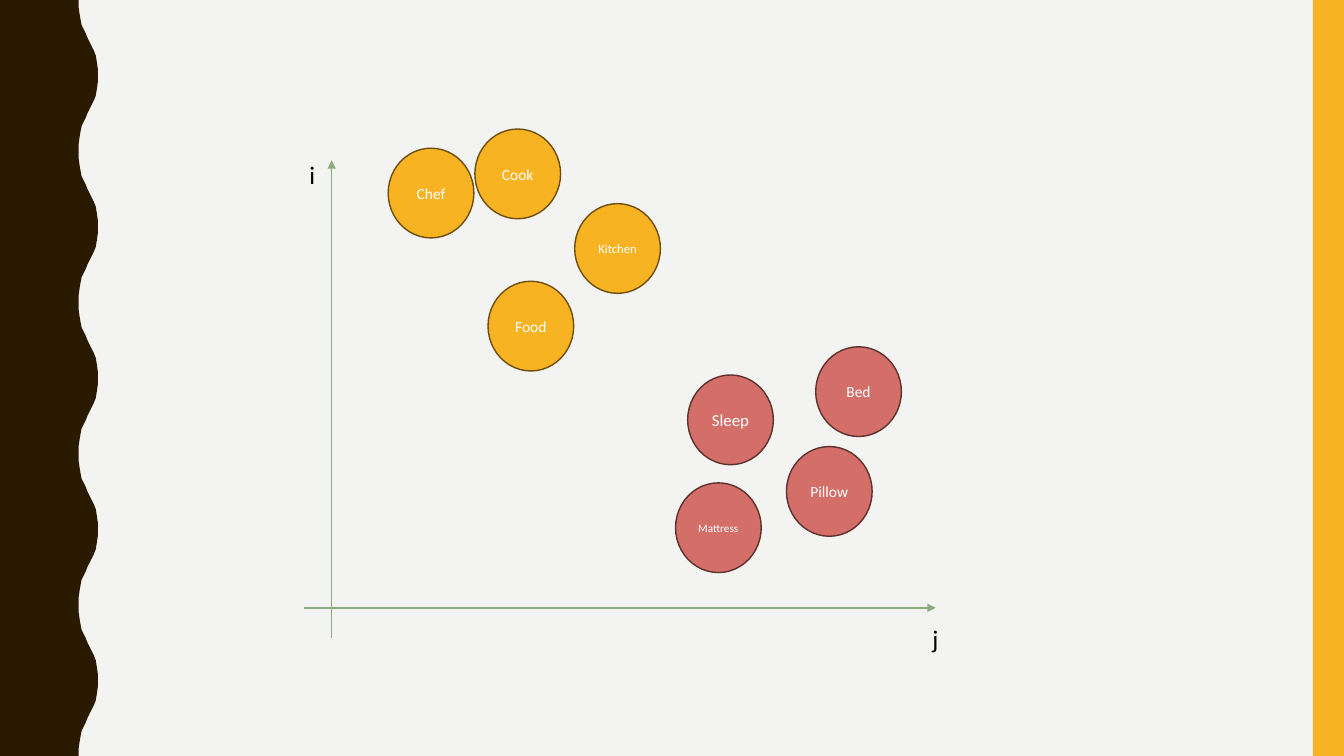
from dataclasses import dataclass

from lxml.etree import SubElement
from pptx import Presentation
from pptx.dml.color import RGBColor
from pptx.enum.shapes import MSO_CONNECTOR, MSO_SHAPE
from pptx.enum.text import MSO_ANCHOR, MSO_AUTO_SIZE, PP_ALIGN
from pptx.oxml.ns import qn
from pptx.util import Inches, Pt


@dataclass(frozen=True)
class Theme:
    font: str = "Calibri"
    background: str = "F3F3F2"
    wave: str = "2A1A00"
    kitchen: tuple = ("F8B323", "6D4E0F")
    bedroom: tuple = ("D36F68", "5C312E")
    stripe: str = "F8B323"
    axis: str = "8CAA7E"
    axis_text: str = "000000"
    word_text: str = "FFFFFF"
    axis_size: int = 18
    line_width: int = 1


THEME = Theme()
SLIDE_WIDTH, SLIDE_HEIGHT = 13.33, 7.5
STRIPE_WIDTH = 0.31
BUBBLE_SIZE = (0.85, 0.89)
LABEL_SIZE = (0.26, 0.4)

WAVE_PERIOD = 1.5
WAVE_RISE = [
    (0.78, 0), (0.78, 0.07), (0.79, 0.14), (0.8, 0.2), (0.81, 0.25),
    (0.83, 0.29), (0.85, 0.33), (0.87, 0.38), (0.89, 0.42), (0.91, 0.46),
    (0.93, 0.5), (0.95, 0.55), (0.96, 0.61), (0.97, 0.68), (0.97, 0.75),
]

AXES = [
    ((3.29, 6.33), (3.29, 1.59)),
    ((3.02, 6.03), (9.28, 6.03)),
]
AXIS_LABELS = [("i", 2.97, 1.53), ("j", 9.15, 6.13)]

CLUSTERS = [
    (THEME.kitchen, [
        ("Chef", 3.85, 1.47, 11),
        ("Cook", 4.71, 1.28, 11),
        ("Kitchen", 5.7, 2.02, 9),
        ("Food", 4.84, 2.79, 11),
    ]),
    (THEME.bedroom, [
        ("Bed", 8.09, 3.44, 11),
        ("Pillow", 7.8, 4.43, 11),
        ("Mattress", 6.7, 4.79, 8),
        ("Sleep", 6.82, 3.72, 12),
    ]),
]


def paint(shape, fill, line=None):
    shape.shadow.inherit = False
    shape.fill.solid()
    shape.fill.fore_color.rgb = RGBColor.from_string(fill)
    if line:
        shape.line.color.rgb = RGBColor.from_string(line)
        shape.line.width = Pt(THEME.line_width)
    else:
        shape.line.fill.background()


def write(shape, text, size, color, align):
    frame = shape.text_frame
    frame.text = text
    para = frame.paragraphs[0]
    para.alignment = align
    span = para.runs[0]
    span.font.name = THEME.font
    span.font.size = Pt(size)
    span.font.color.rgb = RGBColor.from_string(color)


def add_wave(page):
    fall = [(x, WAVE_PERIOD - y) for x, y in reversed(WAVE_RISE[1:-1])]
    periods = round(SLIDE_HEIGHT / WAVE_PERIOD)
    edge = [
        (x, y + number * WAVE_PERIOD)
        for number in range(periods)
        for x, y in WAVE_RISE + fall
    ]
    edge += [(WAVE_RISE[0][0], SLIDE_HEIGHT), (0, SLIDE_HEIGHT)]
    builder = page.shapes.build_freeform(0, 0)
    builder.add_line_segments([(Inches(x), Inches(y)) for x, y in edge], close=True)
    paint(builder.convert_to_shape(), THEME.wave)


def add_stripe(page):
    stripe = page.shapes.add_shape(
        MSO_SHAPE.RECTANGLE, Inches(SLIDE_WIDTH - STRIPE_WIDTH), 0,
        Inches(STRIPE_WIDTH), Inches(SLIDE_HEIGHT))
    paint(stripe, THEME.stripe)


def add_axis(page, start, end):
    axis = page.shapes.add_connector(
        MSO_CONNECTOR.STRAIGHT, *(Inches(value) for value in start + end))
    axis.line.color.rgb = RGBColor.from_string(THEME.axis)
    axis.line.width = Pt(THEME.line_width)
    properties = axis._element.spPr
    SubElement(properties.find(qn("a:ln")), qn("a:tailEnd"), type="triangle")
    SubElement(properties, qn("a:effectLst"))


def add_axis_label(page, text, left, top):
    box = page.shapes.add_textbox(
        *(Inches(value) for value in (left, top, *LABEL_SIZE)))
    box.text_frame.word_wrap = False
    box.text_frame.auto_size = MSO_AUTO_SIZE.SHAPE_TO_FIT_TEXT
    write(box, text, THEME.axis_size, THEME.axis_text, PP_ALIGN.LEFT)


def add_bubble(page, colors, word, left, top, size):
    bubble = page.shapes.add_shape(
        MSO_SHAPE.OVAL, *(Inches(value) for value in (left, top, *BUBBLE_SIZE)))
    paint(bubble, *colors)
    frame = bubble.text_frame
    frame.margin_left = frame.margin_right = 0
    frame.vertical_anchor = MSO_ANCHOR.MIDDLE
    write(bubble, word, size, THEME.word_text, PP_ALIGN.CENTER)


def main():
    deck = Presentation()
    deck.slide_width = Inches(SLIDE_WIDTH)
    deck.slide_height = Inches(SLIDE_HEIGHT)
    page = deck.slides.add_slide(deck.slide_layouts.get_by_name("Blank"))
    page.background.fill.solid()
    page.background.fill.fore_color.rgb = RGBColor.from_string(THEME.background)

    add_wave(page)
    add_stripe(page)
    for start, end in AXES:
        add_axis(page, start, end)
    for label in AXIS_LABELS:
        add_axis_label(page, *label)
    for colors, words in CLUSTERS:
        for word in words:
            add_bubble(page, colors, *word)

    deck.save("out.pptx")


if __name__ == "__main__":
    main()
